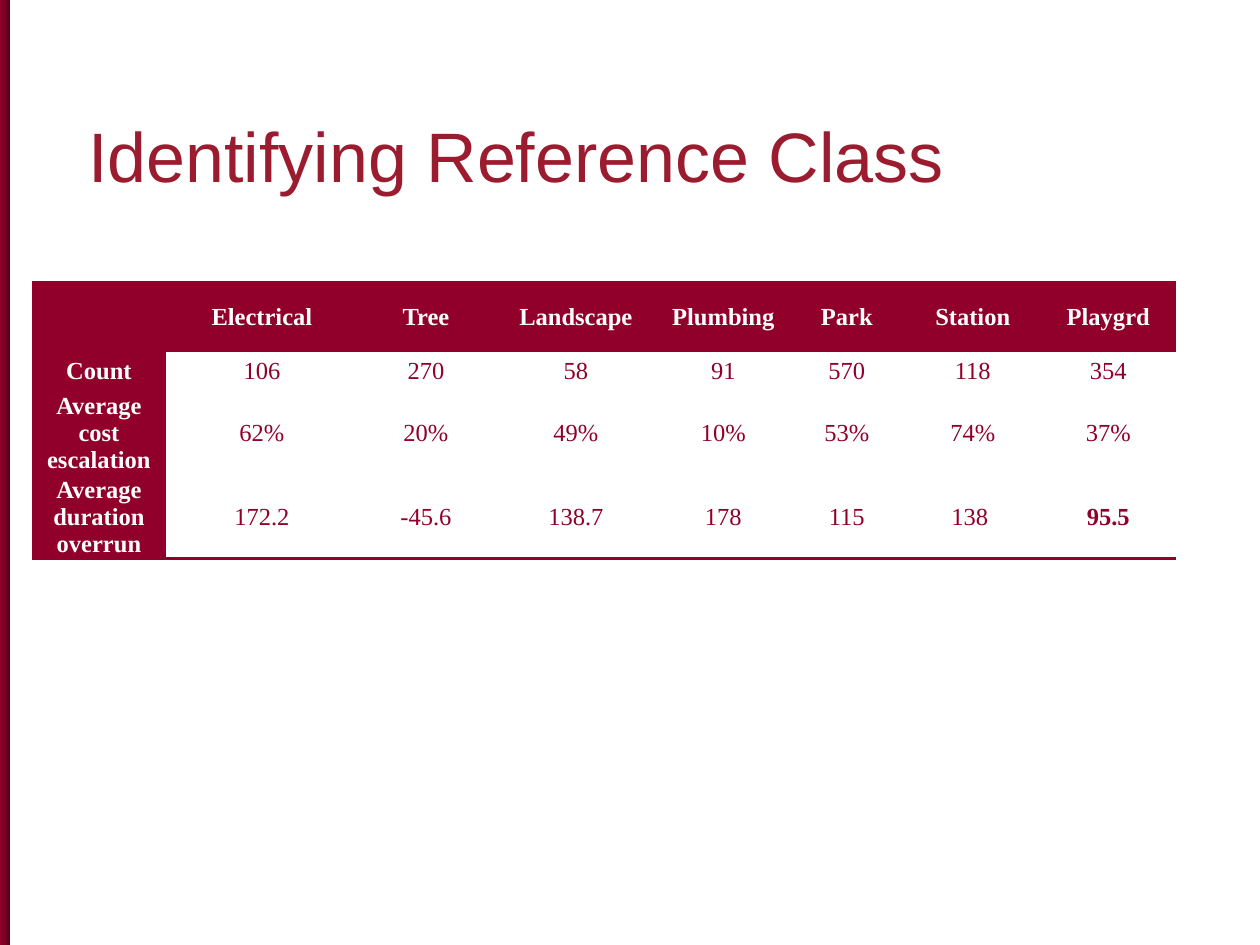
from dataclasses import dataclass

from lxml.etree import SubElement as Sub
from pptx import Presentation
from pptx.dml.color import RGBColor as RGB
from pptx.enum.shapes import MSO_SHAPE as Shape
from pptx.enum.text import MSO_ANCHOR as Anchor, PP_ALIGN as Align
from pptx.oxml.ns import qn
from pptx.util import Emu, Pt

SCALE = 914400 // 126
PLAIN = "{2D5ABB26-0587-4C30-8999-92F81FD0307C}"


@dataclass(frozen=True)
class Theme:
    wine: str = "90002A"
    white: str = "FFFFFF"
    title: str = "9B1C2F"
    bar: tuple = ((0, "550019"), (50, "790023"), (100, "90002A"))
    head: str = "Arial"
    body: str = "Times New Roman"
    big: int = 40
    small: int = 14
    rule: int = 2


THEME = Theme()

COLS = (134, 192, 136, 164, 131, 116, 136, 135)
ROWS = (68, 40, 83, 85)
DATA = (
    ("", "Electrical", "Tree", "Landscape", "Plumbing", "Park", "Station", "Playgrd"),
    ("Count", "106", "270", "58", "91", "570", "118", "354"),
    ("Average cost escalation", "62%", "20%", "49%", "10%", "53%", "74%", "37%"),
    ("Average duration overrun", "172.2", "-45.6", "138.7", "178", "115", "138 ", "95.5"),
)
STRONG = (3, 7)


def px(n):
    return Emu(n * SCALE)


def write(frame, text, font, size, color, bold=False):
    para = frame.paragraphs[0]
    para.alignment = Align.CENTER
    if text:
        run = para.add_run()
        run.text = text
        run.font.name, run.font.size = font, Pt(size)
        run.font.bold = bold
        run.font.color.rgb = RGB.from_string(color)
    return para


def side_bar(slide, box):
    bar = slide.shapes.add_shape(Shape.RECTANGLE, *map(px, box))
    bar.shadow.inherit = False
    bar.line.fill.background()
    bar.fill.gradient()
    bar.fill.gradient_angle = 180
    stops = bar._element.spPr.find(".//" + qn("a:gsLst"))
    for old in list(stops):
        stops.remove(old)
    for pos, color in THEME.bar:
        stop = Sub(stops, qn("a:gs"), pos=str(pos * 1000))
        Sub(stop, qn("a:srgbClr"), val=color)


def title(slide, box, text):
    frame = slide.shapes.add_textbox(*map(px, box)).text_frame
    frame.word_wrap = True
    frame.vertical_anchor = Anchor.MIDDLE
    para = write(frame, text, THEME.head, THEME.big, THEME.title)
    para.line_spacing = 0.9


def edge(cell, side):
    """Rule one side of a cell; call before the cell is filled."""
    props = cell._tc.get_or_add_tcPr()
    line = Sub(props, qn("a:ln" + side), w=str(Pt(THEME.rule)))
    fill = Sub(line, qn("a:solidFill"))
    Sub(fill, qn("a:srgbClr"), val=THEME.wine)


def style(cell, text, sides, label, bold):
    for side in sides:
        edge(cell, side)
    back, ink = (THEME.wine, THEME.white) if label else (THEME.white, THEME.wine)
    cell.fill.solid()
    cell.fill.fore_color.rgb = RGB.from_string(back)
    cell.vertical_anchor = Anchor.MIDDLE
    cell.margin_left = cell.margin_right = cell.margin_top = px(1)
    cell.margin_bottom = 0
    write(cell.text_frame, text, THEME.body, THEME.small, ink, bold)


def class_table(slide, left, top):
    box = map(px, (left, top, sum(COLS), sum(ROWS)))
    table = slide.shapes.add_table(len(ROWS), len(COLS), *box).table
    table.first_row = table.horz_banding = False
    table._tbl.tblPr.find(qn("a:tableStyleId")).text = PLAIN
    for col, wide in zip(table.columns, COLS):
        col.width = px(wide)
    for row, high in zip(table.rows, ROWS):
        row.height = px(high)
    rules = {0: "TB", len(ROWS) - 1: "B"}
    for r, texts in enumerate(DATA):
        for c, text in enumerate(texts):
            label = r == 0 or c == 0
            bold = label or (r, c) == STRONG
            style(table.cell(r, c), text, rules.get(r, ""), label, bold)


def main():
    deck = Presentation()
    deck.slide_width, deck.slide_height = px(1260), px(945)
    slide = deck.slides.add_slide(deck.slide_layouts[6])
    side_bar(slide, (0, 0, 10, 948))
    class_table(slide, 32, 283)
    title(slide, (21, 105, 990, 110), "Identifying Reference Class")
    deck.save("out.pptx")


if __name__ == "__main__":
    main()
